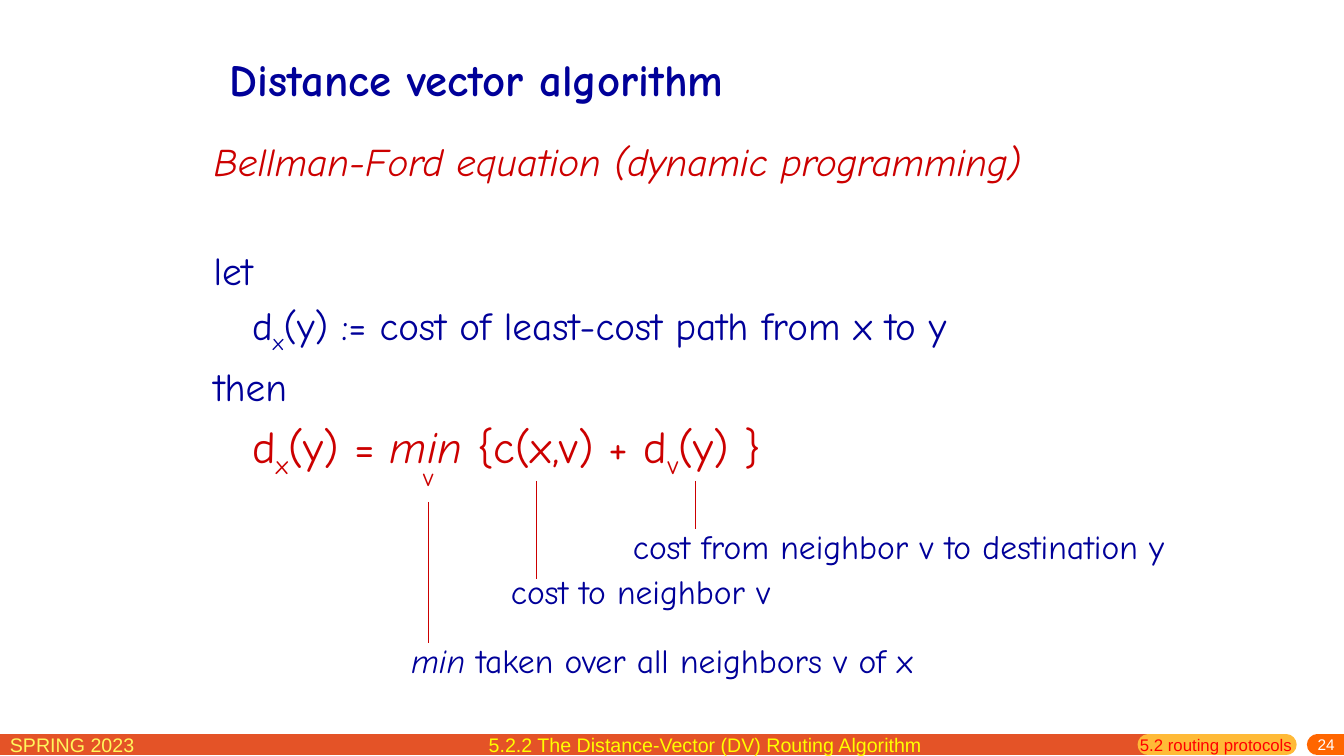
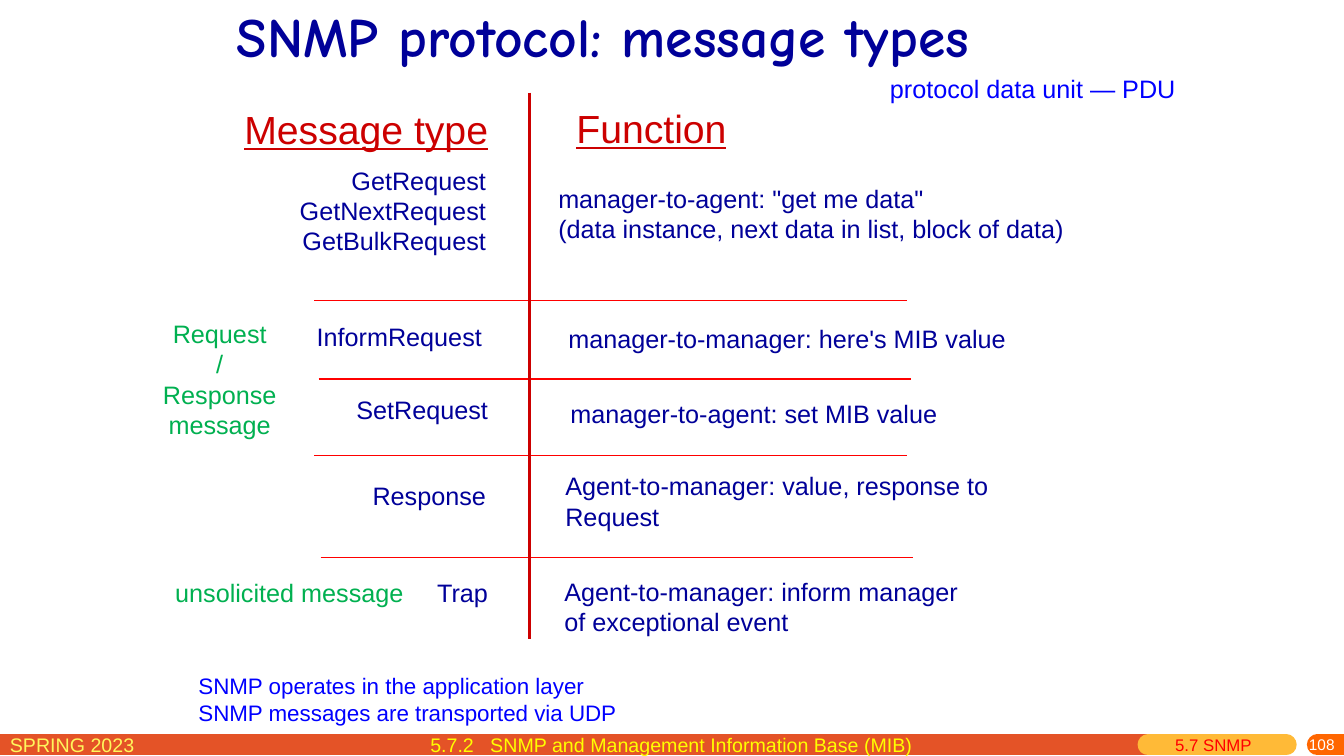
"""Build two lecture slides on distance vector routing and SNMP messages."""
from dataclasses import dataclass, field

import pptx
import pptx.dml.color
import pptx.enum.shapes
import pptx.enum.text
import pptx.oxml
import pptx.oxml.ns
import pptx.util

ALIGN = pptx.enum.text.PP_ALIGN
ANCHOR = pptx.enum.text.MSO_ANCHOR
LEFT, CENTER, RIGHT = ALIGN.LEFT, ALIGN.CENTER, ALIGN.RIGHT
WIDTH, HEIGHT = pptx.util.Inches(13.333), pptx.util.Inches(7.5)
COLS, ROWS = 80, 45


@dataclass(frozen=True)
class Theme:
    """Colours, fonts and text formats shared by the slides."""
    navy: str = "000099"
    red: str = "CC0000"
    rule: str = "FF0000"
    bands: tuple = ((0, 68.34, "E45327"), (68.34, 76.56, "FFBA37"), (78.42, 80, "FF6600"))
    band_row: float = 44.34
    band_width: float = 15
    hand: str = "Comic Neue"
    plain: str = "Arial"
    formats: dict = field(default_factory=dict)

    def fmt(self, name):
        """Return the font values of a named text format."""
        hand, plain, navy, red = self.hand, self.plain, self.navy, self.red
        table = {
            "title": dict(name=hand, size=32, color=navy, bold=True),
            "wide title": dict(name=hand, size=39.6, color=navy, bold=True),
            "lead": dict(name=hand, size=28, color=red, italic=True),
            "body": dict(name=hand, size=28, color=navy),
            "equation": dict(name=hand, size=32, color=red),
            "under": dict(name=hand, size=18, color=red),
            "note": dict(name=hand, size=24, color=navy),
            "head": dict(name=plain, size=28, color=red, underline=True),
            "cell": dict(name=plain, size=18, color=navy),
            "group": dict(name=plain, size=18, color="00B050"),
            "remark": dict(name=plain, size=18, color="0000FF"),
            "footnote": dict(name=plain, size=16, color="0000FF"),
            "term": dict(name=plain, size=14, color="FFF65C"),
            "section": dict(name=plain, size=14, color="FFFF00"),
            "chapter": dict(name=plain, size=12, color="FF0000"),
            "page": dict(name=plain, size=11, color="FFFFFF"),
        }
        return table[name]


THEME = Theme()


def col(n):
    """Convert grid columns to a length."""
    return round(WIDTH * n / COLS)


def row(n):
    """Convert grid rows to a length."""
    return round(HEIGHT * n / ROWS)


def box(x, y, w, h):
    """Convert a grid box to left, top, width and height."""
    return col(x), row(y), col(w), row(h)


def rgb(value):
    """Make a colour from hex digits."""
    return pptx.dml.color.RGBColor.from_string(value)


def style(font, values):
    """Apply a dict of font values."""
    for key, value in values.items():
        if key == "color":
            font.color.rgb = rgb(value)
        else:
            setattr(font, key, pptx.util.Pt(value) if key == "size" else value)


def add_run(p, part, fmt):
    """Add a run; a tuple gives the text with 'sub' or 'italic'."""
    text, mark = part if isinstance(part, tuple) else (part, None)
    r = p.add_run()
    r.text = text
    style(r.font, THEME.fmt(fmt))
    if mark == "italic":
        r.font.italic = True
    if mark == "sub":
        r.font._element.set("baseline", "-25000")


def fill_frame(tf, paragraphs, fmt, align=LEFT):
    """Write paragraphs, each a string or a list of run parts."""
    for i, parts in enumerate(paragraphs):
        p = tf.add_paragraph() if i else tf.paragraphs[0]
        p.alignment = align
        for part in [parts] if isinstance(parts, str) else parts:
            add_run(p, part, fmt)


def add_text(s, at, paragraphs, fmt, align=LEFT, **frame):
    """Add a wrapped text box on the grid."""
    tf = s.shapes.add_textbox(*box(*at)).text_frame
    for key, value in {"word_wrap": True, **frame}.items():
        setattr(tf, key, value)
    fill_frame(tf, paragraphs, fmt, align)
    return tf


def add_line(s, start, end, color, width, cap="flat"):
    """Add a straight line between two grid points."""
    sp = s.shapes.add_connector(
        pptx.enum.shapes.MSO_CONNECTOR.STRAIGHT,
        col(start[0]), row(start[1]), col(end[0]), row(end[1]))
    sp.line.color.rgb = rgb(color)
    sp.line.width = pptx.util.Pt(width)
    spPr = sp.element.spPr
    spPr.find(pptx.oxml.ns.qn("a:ln")).set("cap", cap)
    spPr.append(pptx.oxml.parse_xml(
        "<a:effectLst %s/>" % pptx.oxml.ns.nsdecls("a")))


def add_tab_stop(p, pos):
    """Give a paragraph one left tab stop."""
    p._p.get_or_add_pPr().append(pptx.oxml.parse_xml(
        '<a:tabLst %s><a:tab pos="%d" algn="l"/></a:tabLst>'
        % (pptx.oxml.ns.nsdecls("a"), pos)))


def add_slide(prs, title, at, fmt, page):
    """Add a slide with its title, footer bands and page number."""
    s = prs.slides.add_slide(prs.slide_layouts[5])
    sp = s.shapes.title
    sp.left, sp.top, sp.width, sp.height = box(*at)
    tf = sp.text_frame
    tf.auto_size = pptx.enum.text.MSO_AUTO_SIZE.NONE
    tf.vertical_anchor = ANCHOR.MIDDLE
    fill_frame(tf, [title], fmt)
    for start, end, color in THEME.bands:
        add_line(s, (start, THEME.band_row), (end, THEME.band_row),
                 color, THEME.band_width, "rnd")
    add_text(s, (0, 43.32, 13.74, 1.86), ["SPRING 2023"], "term")
    add_text(s, (64.5, 43.92, 15.54, 1.08), [page], "page", RIGHT,
             vertical_anchor=ANCHOR.MIDDLE, margin_top=0,
             margin_bottom=pptx.util.Inches(0.05))
    return s


def add_definition(s):
    """Add the Bellman-Ford statement with its indented formulas."""
    lines = [
        ("lead", 0, 0, ["Bellman-Ford equation (dynamic programming)"]),
        ("body", 44.5, 0, ["let"]),
        ("body", 5.6, 2.3, ["d", ("x", "sub"), "(y) := cost of least-cost path from x to y"]),
        ("body", 5.6, 0, ["then"]),
        ("equation", 6.4, 2.3, ["d", ("x", "sub"), "(y) = ", ("min", "italic"),
                                " {c(x,v) + d", ("v", "sub"), "(y) }"]),
    ]
    tf = s.shapes.add_textbox(*box(12.12, 7.86, 52.2, 30.48)).text_frame
    tf.word_wrap = True
    for i, (fmt, before, indent, parts) in enumerate(lines):
        p = tf.add_paragraph() if i else tf.paragraphs[0]
        p.space_before = pptx.util.Pt(before)
        p._p.get_or_add_pPr().set("marL", str(col(indent)))
        for part in parts:
            add_run(p, part, fmt)


def build_distance_vector(prs):
    """Build the distance vector slide."""
    s = add_slide(prs, "Distance vector algorithm", (13.08, 1.92, 51, 5.52), "title", "24")
    add_definition(s)
    add_text(s, (24.6, 27.18, 1.92, 2.4), ["v"], "under")
    notes = [
        (29.82, 33.66, ["cost to neighbor v"]),
        (23.88, 37.8, [("min", "italic"), " taken over all neighbors v of x"]),
        (37.08, 31.02, ["cost from neighbor v to destination y"]),
    ]
    for x, y, parts in notes:
        add_text(s, (x, y, 36.24, 3), [parts], "note")
    for x, top, bottom in [(25.5, 29.88, 38.28), (31.92, 28.62, 34.44), (41.4, 28.62, 31.5)]:
        add_line(s, (x, top), (x, bottom), THEME.red, 0.75)
    add_text(s, (67.26, 43.44, 11.04, 1.86), ["5.2 routing protocols"], "chapter")
    add_text(s, (28.5, 43.32, 30, 2.04),
             ["5.2.2 The Distance-Vector (DV) Routing Algorithm"], "section")


def add_message_row(s, fmt, types, functions):
    """Add message types flush right and their function flush left."""
    right, y, names = types
    add_text(s, (right - 17, y, 17, 2.4), names, fmt, RIGHT)
    left, y, lines = functions
    add_text(s, (left, y, 34, 2.4), lines, fmt)


def build_snmp(prs):
    """Build the SNMP message types slide."""
    s = add_slide(prs, "SNMP protocol: message types",
                  (13.5, -1.62, 53.46, 7.5), "wide title", "108")
    rows = [
        ("head", (29.64, 6, ["Message type"]), (33.72, 5.94, ["Function"])),
        ("cell", (29.52, 9.54, ["GetRequest", "GetNextRequest", "GetBulkRequest"]),
         (32.64, 10.62, ['manager-to-agent: "get me data"',
                         "(data instance, next data in list, block of data)"])),
        ("cell", (29.28, 18.84, ["InformRequest"]),
         (33.24, 18.96, ["manager-to-manager: here's MIB value"])),
        ("cell", (29.64, 23.16, ["SetRequest"]),
         (33.36, 23.4, ["manager-to-agent: set MIB value"])),
        ("cell", (29.52, 28.32, ["Response"]),
         (33.06, 27.72, ["Agent-to-manager: value, response to", "Request"])),
        ("cell", (29.64, 34.08, ["Trap"]),
         (33, 34.02, ["Agent-to-manager: inform manager", "of exceptional event"])),
    ]
    for fmt, types, functions in rows:
        add_message_row(s, fmt, types, functions)
    for x, y in [(18.72, 17.88), (18.96, 22.56), (18.72, 27.12), (19.08, 33.18)]:
        add_line(s, (x, y), (x + 35.28, y), THEME.rule, 1)
    add_line(s, (31.5, 5.52), (31.5, 38.04), THEME.red, 2)
    add_text(s, (8.28, 18.66, 9.6, 7.86),
             ["Request", "/", "Response", "message"], "group", CENTER)
    add_text(s, (9.84, 34.08, 15.36, 2.4), ["unsolicited message"], "group")
    add_text(s, (52.38, 4.08, 18.78, 2.4), ["protocol data unit — PDU"], "remark")
    add_text(s, (11.22, 39.72, 53.1, 3.84),
             ["SNMP operates in the application layer",
              "SNMP messages are transported via UDP"], "footnote")
    add_text(s, (69.36, 43.44, 6.6, 1.86), ["5.7 SNMP"], "chapter")
    tf = add_text(s, (25.02, 43.32, 34, 2.04),
                  ["5.7.2\tSNMP and Management Information Base (MIB)"], "section")
    add_tab_stop(tf.paragraphs[0], col(3.57))


def main():
    """Build and save the presentation."""
    prs = pptx.Presentation()
    prs.slide_width, prs.slide_height = WIDTH, HEIGHT
    build_distance_vector(prs)
    build_snmp(prs)
    prs.save("out.pptx")


if __name__ == "__main__":
    main()
